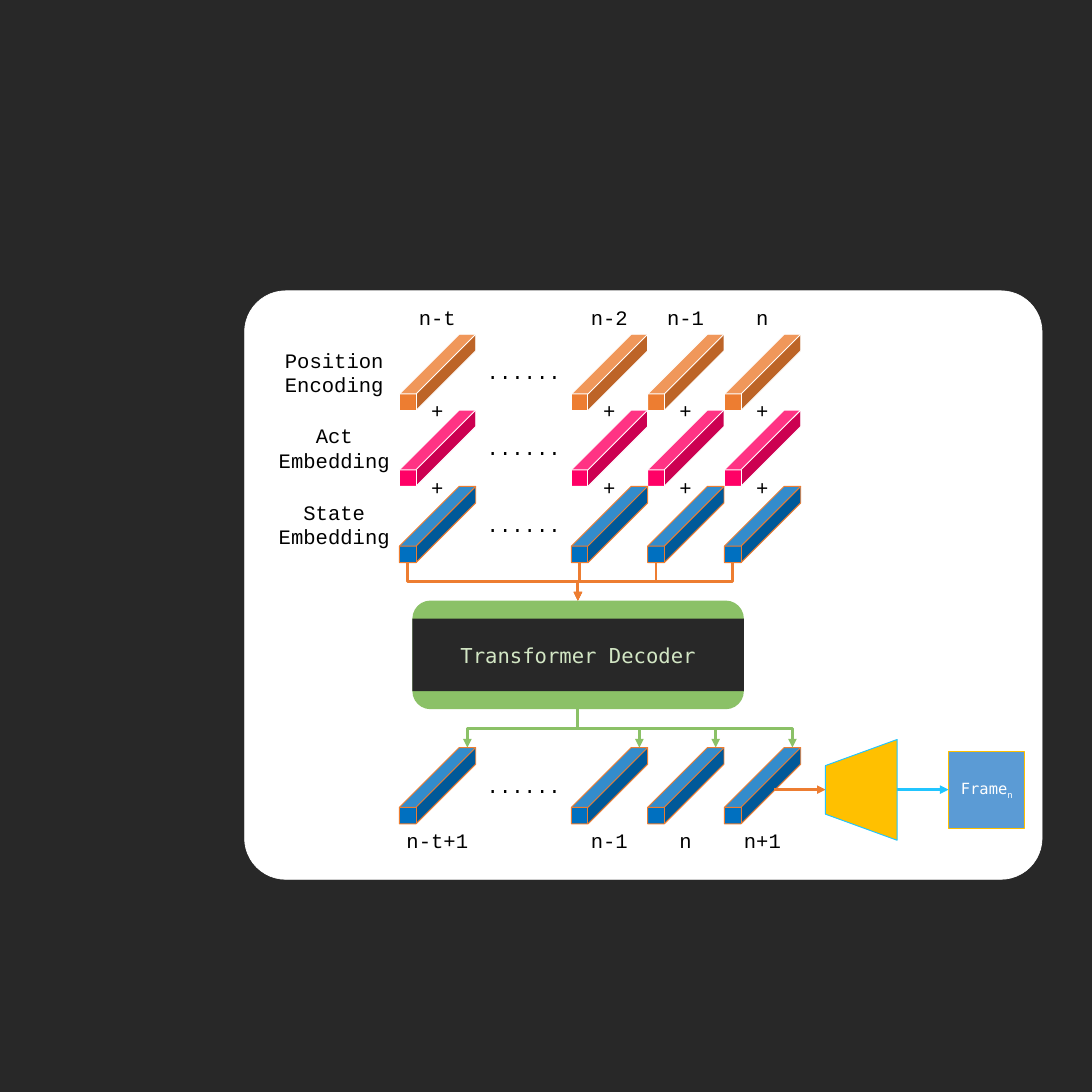
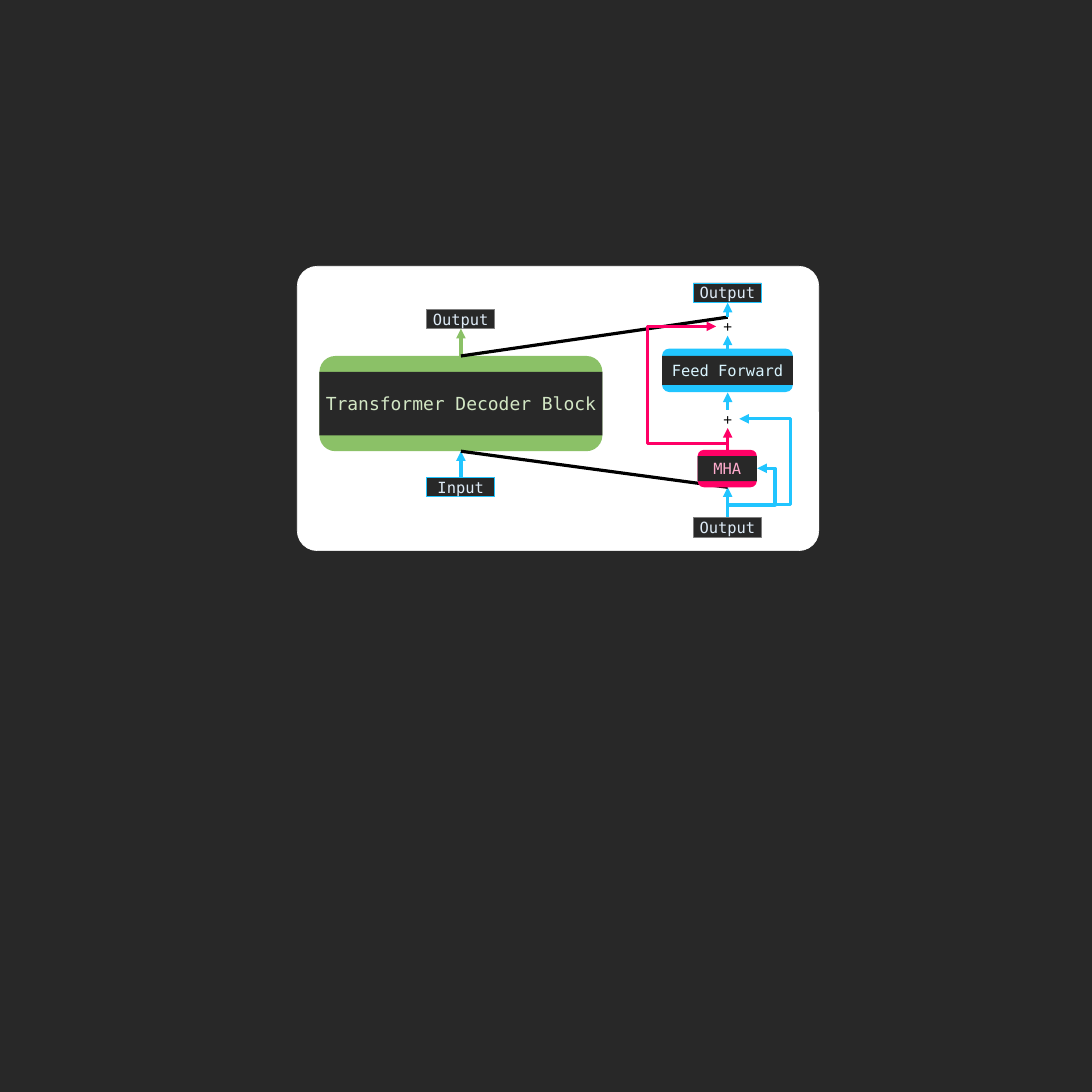
from lxml import etree
from pptx import Presentation
from pptx.dml.color import RGBColor
from pptx.enum.shapes import MSO_CONNECTOR, MSO_SHAPE
from pptx.enum.text import MSO_ANCHOR, PP_ALIGN
from pptx.oxml.ns import qn
from pptx.util import Inches, Pt

STRAIGHT, ELBOW = MSO_CONNECTOR.STRAIGHT, MSO_CONNECTOR.ELBOW
RECT, ROUND = MSO_SHAPE.RECTANGLE, MSO_SHAPE.ROUNDED_RECTANGLE
CUBE, TRAPEZOID = MSO_SHAPE.CUBE, MSO_SHAPE.TRAPEZOID
PARALLELOGRAM = MSO_SHAPE.PARALLELOGRAM
MIDDLE, CENTER = MSO_ANCHOR.MIDDLE, PP_ALIGN.CENTER

DARK, WHITE, BLACK, GRAY = "282828", "FFFFFF", "000000", "7F7F7F"
GREEN, PALE_GREEN = "8BC167", "D2E6C4"
CYAN, PALE_CYAN, PALE_BLUE = "21C5FF", "D9F5FF", "DEEBF7"
PINK, PALE_PINK = "FF0066", "FFABCD"
ORANGE, GOLD, BLUE, SKY = "ED7D31", "FFC000", "0070C0", "5B9BD5"
SANS, COURIER = "DejaVu Sans Mono", "Courier New"

CUBE_SIZE = 1.65
COLUMNS = (3.35, 7.07, 8.72, 10.38)


def rgb(value):
    """Turn a hex string into a colour."""
    return RGBColor.from_string(value)


def write(tf, text, size, color, font, sub=""):
    """Fill a text frame with centred lines and an optional subscript."""
    frame = {"word_wrap": True, "vertical_anchor": MIDDLE, "margin_left": 0,
             "margin_right": 0, "margin_top": 0, "margin_bottom": 0}
    for name, value in frame.items():
        setattr(tf, name, value)
    for i, line in enumerate(text.split("\n")):
        p = tf.paragraphs[0] if i == 0 else tf.add_paragraph()
        p.alignment = CENTER
        for part in filter(None, (line, sub)):
            r = p.add_run()
            for name, value in {"text": part}.items():
                setattr(r, name, value)
            for name, value in {"size": Pt(size), "name": font}.items():
                setattr(r.font, name, value)
            r.font.color.rgb = rgb(color)
    if sub:
        r.font._element.set("baseline", "-25000")


def shape(s, kind, box, fill, line=None, width=1.5, adj=None, rotation=0):
    """Add a flat preset shape."""
    sp = s.shapes.add_shape(kind, *map(Inches, box))
    sp.shadow.inherit = False
    sp.rotation = rotation
    sp.fill.solid()
    sp.fill.fore_color.rgb = rgb(fill)
    if line:
        sp.line.color.rgb = rgb(line)
        sp.line.width = Pt(width)
    else:
        sp.line.fill.background()
    if adj is not None:
        sp.adjustments[0] = adj
    return sp


def label(s, cx, cy, w, h, text, size=32):
    """Add a text box centred on a point."""
    sp = s.shapes.add_textbox(*map(Inches, (cx - w / 2, cy - h / 2, w, h)))
    write(sp.text_frame, text, size, BLACK, COURIER)


def finish(c, color, width, arrow):
    """Style a connector and give it an arrowhead."""
    c.line.color.rgb = rgb(color)
    c.line.width = Pt(width)
    if arrow:
        etree.SubElement(c.line._get_or_add_ln(), qn("a:tailEnd"), type="triangle")
    etree.SubElement(c.element.spPr, qn("a:effectLst"))


def straight(s, x1, y1, x2, y2, color, width=5, arrow=True):
    """Draw a straight line."""
    c = s.shapes.add_connector(STRAIGHT, *map(Inches, (x1, y1, x2, y2)))
    finish(c, color, width, arrow)


def elbow(s, x1, y1, x2, y2, color, width=5, adj=(0.5,)):
    """Draw a bent arrow that leaves its start vertically."""
    w, h = abs(y2 - y1), abs(x2 - x1)
    left, top = (x1 + x2 - w) / 2, (y1 + y2 - h) / 2
    c = s.shapes.add_connector(ELBOW, *map(Inches, (left, top, left + w, top + h)))
    goes_left, goes_down = x2 < x1, y2 > y1
    xfrm = c.element.spPr.find(qn("a:xfrm"))
    xfrm.set("rot", str((90 if goes_left == goes_down else 270) * 60000))
    xfrm.set("flipH", str(int(not goes_left)))
    xfrm.set("flipV", str(int(not goes_down)))
    geom = c.element.spPr.find(qn("a:prstGeom"))
    geom.set("prst", f"bentConnector{len(adj) + 2}")
    guides = geom.find(qn("a:avLst"))
    if guides is None:
        guides = etree.SubElement(geom, qn("a:avLst"))
    for i, value in enumerate(adj, 1):
        etree.SubElement(guides, qn("a:gd"), name=f"adj{i}",
                         fmla=f"val {round(value * 100000)}")
    finish(c, color, width, True)


def panel(s, box):
    """Draw the white rounded panel."""
    shape(s, ROUND, box, WHITE, WHITE, 1, 0.07)


def block(s, box, text, size, color, text_color):
    """Draw a rounded block with a dark middle band."""
    x, y, w, h = box
    shape(s, ROUND, box, color)
    band = shape(s, RECT, (x, y + h / 6, w, h * 2 / 3), DARK)
    write(band.text_frame, text, size, text_color, SANS)


def cube_row(s, x, y, fill, line):
    """Draw four cubes with dots after the first."""
    for dx in COLUMNS:
        shape(s, CUBE, (x + dx, y, CUBE_SIZE, CUBE_SIZE), fill, line, adj=0.783)
    label(s, x + 6.04, y + 0.81, 1.93, 0.82, "......")


def column_labels(s, x, y, texts):
    """Write one label over or under each cube."""
    for dx, text in zip(COLUMNS, texts):
        label(s, x + dx + 0.82, y, 1.6, 0.4, text)


def embeddings(s, x, y):
    """Draw the three summed rows of input embeddings."""
    column_labels(s, x, y + 0.57, ("n-t", "n-2", "n-1", "n"))
    rows = ((0.94, "Position\nEncoding", ORANGE, WHITE),
            (2.58, "Act Embedding", PINK, WHITE),
            (4.23, "State Embedding", BLUE, ORANGE))
    for dy, text, fill, line in rows:
        cube_row(s, x, y + dy, fill, line)
        label(s, x + 1.94, y + dy + 0.82, 2.65, 1.06, text)
    for dy, *_ in rows[1:]:
        column_labels(s, x, y + dy + 0.01, "++++")


def decoder(s, x, y):
    """Draw the decoder with its arrows in and out."""
    center = x + 7.21
    for dx in COLUMNS:
        elbow(s, x + dx + 0.18, y + 5.88, center, y + 6.7, ORANGE, 4.5)
        elbow(s, center, y + 9.05, x + dx + 1.47, y + 9.88, GREEN, 4.5)
    block(s, (x + 3.63, y + 6.7, 7.17, 2.35), "Transformer Decoder", 32,
          GREEN, PALE_GREEN)


def frame_output(s, x, y):
    """Draw the predicted row and the frame made from it."""
    cube_row(s, x, y + 9.88, BLUE, ORANGE)
    column_labels(s, x, y + 11.88, ("n-t+1", "n-1", "n", "n+1"))
    middle = y + 10.79
    frame = shape(s, PARALLELOGRAM, (x + 15.23, y + 9.97, 1.65, 1.65), SKY, GOLD, adj=0)
    write(frame.text_frame, "Frame", 24, WHITE, SANS, sub="n")
    straight(s, x + 11.45, middle, x + 12.57, middle, ORANGE, 4.5)
    straight(s, x + 14.12, middle, x + 15.23, middle, CYAN, 4.5)
    shape(s, TRAPEZOID, (x + 12.25, y + 10.02, 2.18, 1.55), GOLD, CYAN,
          adj=0.364, rotation=270)


def tag(s, cx, y, text, line):
    """Draw a small dark input or output tag."""
    sp = shape(s, RECT, (cx - 0.74, y, 1.47, 0.42), DARK, line, 1)
    write(sp.text_frame, text, 24, PALE_BLUE, SANS)


def decoder_block(s, x, y):
    """Draw the closed decoder block with its input and output."""
    cx = x + 3.54
    block(s, (x + 0.48, y + 1.94, 6.12, 2.06), "Transformer Decoder Block", 28,
          GREEN, PALE_GREEN)
    tag(s, cx, y + 4.56, "Input", CYAN)
    tag(s, cx, y + 0.93, "Output", GRAY)
    straight(s, cx, y + 4.56, cx, y + 4, CYAN)
    straight(s, cx, y + 1.94, cx, y + 1.35, GREEN)


def block_detail(s, x, y):
    """Draw the layers inside the block, with their skip arrows."""
    cx = x + 9.31
    for start, end, color in ((3.97, 3.5, PINK), (5.44, 4.78, CYAN),
                              (3.1, 2.73, CYAN), (1.78, 1.5, CYAN)):
        straight(s, cx, y + start, cx, y + end, color)
    elbow(s, cx, y + 5.44, cx + 0.64, y + 4.37, CYAN, adj=(0.258, 1.602))
    elbow(s, cx, y + 5.41, cx + 0.25, y + 3.3, CYAN, adj=(0.119, 5.399))
    block(s, (cx - 1.42, y + 1.78, 2.83, 0.94), "Feed Forward", 24, CYAN, PALE_CYAN)
    for dy in (1.3, 3.3):
        label(s, cx, y + dy, 0.5, 0.39, "+", 24)
    tag(s, cx, y + 5.44, "Output", GRAY)
    tag(s, cx, y + 0.36, "Output", CYAN)
    for start, end in ((4, 4.78), (1.94, 1.1)):
        straight(s, x + 3.54, y + start, cx, y + end, BLACK, arrow=False)
    block(s, (cx - 0.65, y + 3.97, 1.28, 0.81), "MHA", 24, PINK, PALE_PINK)
    straight(s, cx, y + 1.1, cx, y + 0.79, CYAN)
    elbow(s, cx, y + 3.97, cx - 0.25, y + 1.3, PINK, adj=(0.049, 6.966))


def build():
    """Build and save both slides."""
    prs = Presentation()
    prs.slide_width = prs.slide_height = Inches(23.62)
    backdrop = prs.slide_master.background.fill
    backdrop.solid()
    backdrop.fore_color.rgb = rgb(DARK)
    slides = (((5.29, 6.29, 17.25, 12.73), (embeddings, decoder, frame_output)),
              ((6.43, 5.76, 11.28, 6.15), (decoder_block, block_detail)))
    for box, regions in slides:
        s = prs.slides.add_slide(prs.slide_layouts[6])
        panel(s, box)
        for region in regions:
            region(s, *box[:2])
    prs.save("out.pptx")


build()
